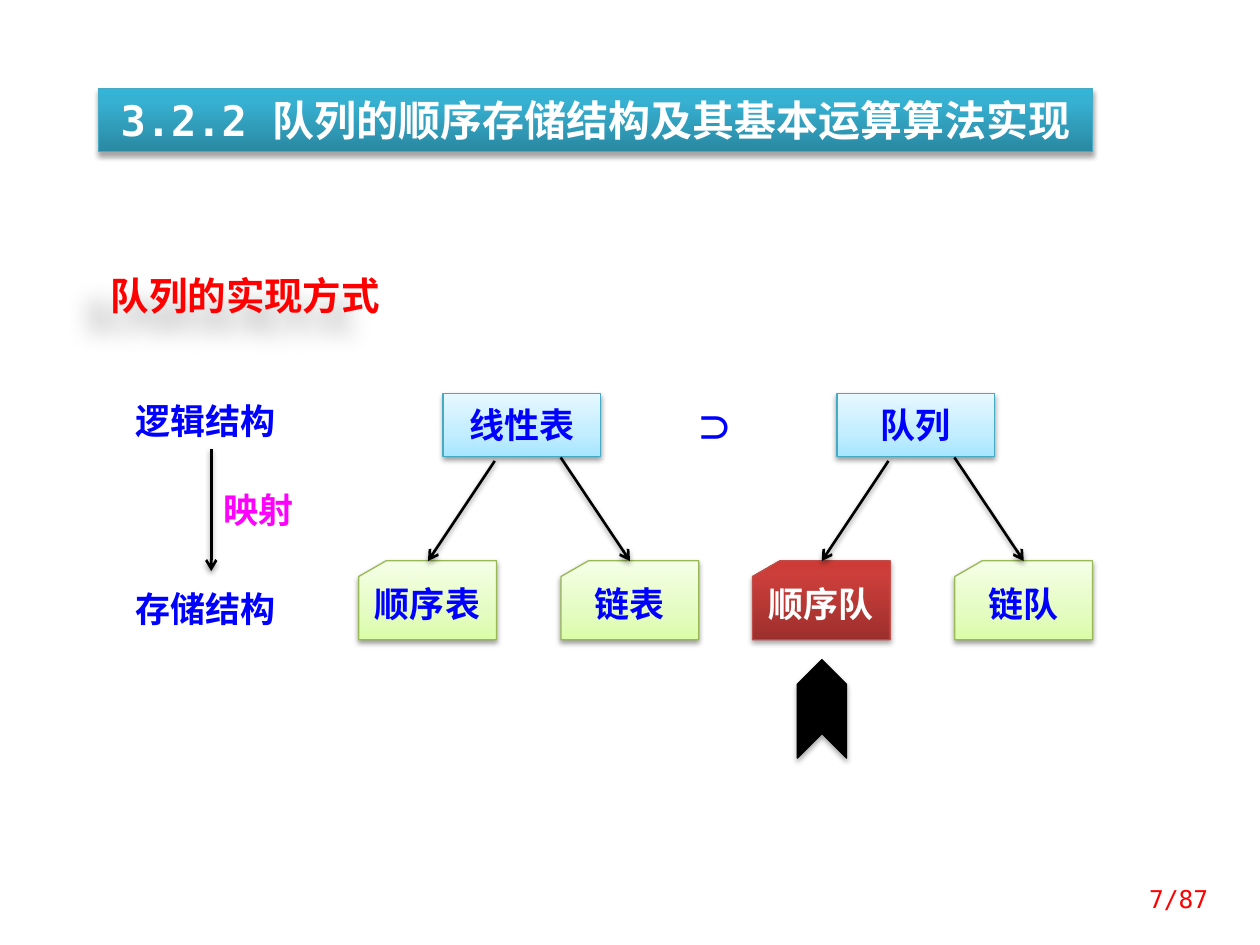
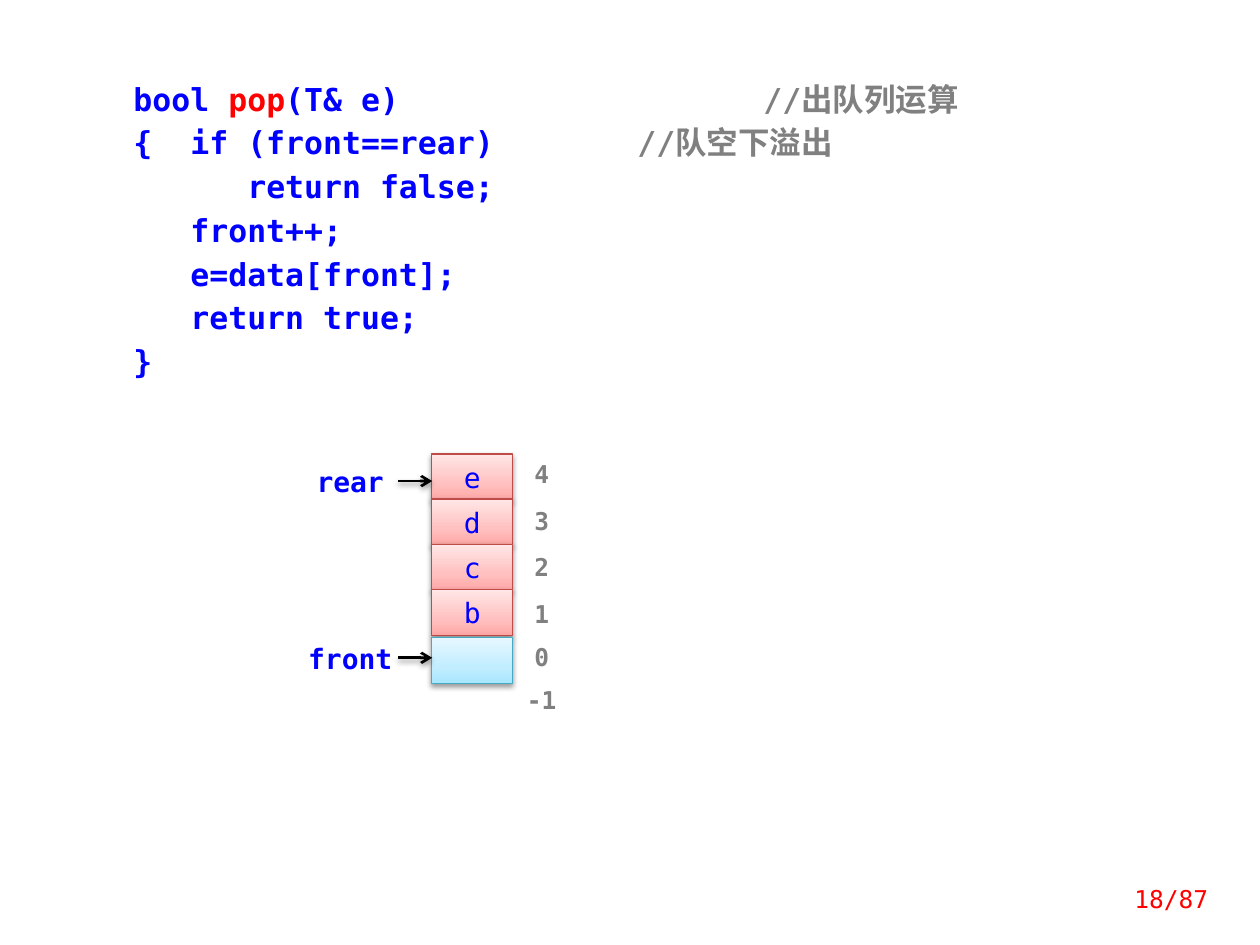
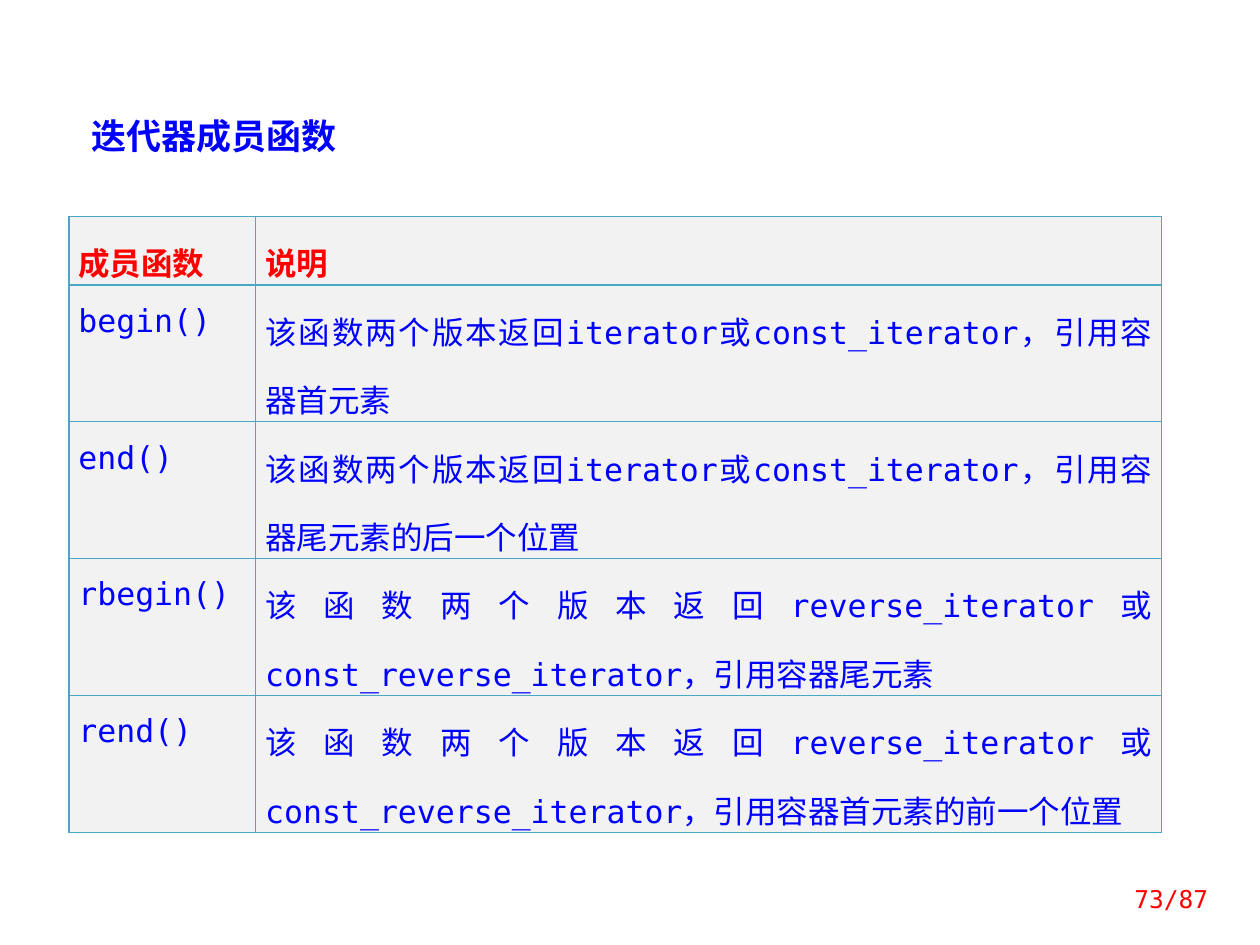
"""Build three lecture slides on queues: storage structures, the pop operation and iterator functions."""
from lxml.etree import SubElement
from pptx import Presentation
from pptx.dml.color import RGBColor
from pptx.enum.shapes import MSO_CONNECTOR, MSO_SHAPE
from pptx.enum.text import MSO_ANCHOR, MSO_AUTO_SIZE, PP_ALIGN
from pptx.oxml.ns import qn
from pptx.util import Pt

COLOURS = {
    "blue": "0000FF", "red": "FF0000", "magenta": "FF00FF", "grey": "808080",
    "white": "FFFFFF", "black": "000000", "cell": "F2F2F2", "teal": "46AAC5",
}
MONO, SANS = "DejaVu Sans Mono", "Noto Sans CJK SC"
SOFT, STRONG = (38, 3.1, 1.6, 90), (35, 3.1, 1.8, 90)
STYLES = {
    "sky": (((0, "A7E6FF"), (35, "C1EDFF"), (100, "E7F8FF")), "46AAC5", SOFT),
    "lime": (((0, "DAFDA7"), (35, "E4FCC2"), (100, "F5FFE7")), "98B955", SOFT),
    "rose": (((0, "FFA6A5"), (35, "FFC0BF"), (100, "FFE7E7")), "BF4C48", SOFT),
    "brick": (((0, "9C2F2D"), (80, "CB3E3A"), (100, "CE3B37")), "BF4C48", STRONG),
    "banner": (((0, "2A88A2"), (80, "37B1D2"), (100, "34B4D6")), "46AAC5", STRONG),
}
TOTAL_PAGES = 87

BANNER = "3.2.2 队列的顺序存储结构及其基本运算算法实现"
SECTION = "队列的实现方式"
LEVELS = [
    ("逻辑结构", (70.2, 224.6, 101.5, 31.7), "blue"),
    ("存储结构", (70.2, 331.9, 101.5, 31.7), "blue"),
    ("映射", (120.6, 275.4, 61.9, 31.7), "magenta"),
]
TREES = [
    (253.2, "线性表", [("顺序表", "lime", "blue"), ("链表", "lime", "blue")]),
    (478.2, "队列", [("顺序队", "brick", "white"), ("链队", "lime", "blue")]),
]
BRANCHES = [(-48.2, 29.5, 263.4, -8.6), (67.4, 67.2, 261.4, 106.8)]

CODE = [
    (0, [("bool ", "blue"), ("pop", "red"), ("(T& e)\t\t\t", "blue"), ("//出队列运算", "grey")]),
    (0, [("{  if (front==rear)\t\t", "blue"), ("//队空下溢出", "grey")]),
    (6, [("return false;", "blue")]),
    (3, [("front++;", "blue")]),
    (3, [("e=data[front];", "blue")]),
    (3, [("return true;", "blue")]),
    (0, [("}", "blue")]),
]
CODE_CHAR_WIDTH = 10.84
CODE_TAB = 72
QUEUE = [("e", "rose"), ("d", "rose"), ("c", "rose"), ("b", "rose"), ("", "sky")]
QUEUE_TOPS = (259.4, 285.1, 311, 336.8, 364.2)
INDEXES = [("4", 262.3), ("3", 289), ("2", 315.6), ("1", 342.3), ("0", 366.9), ("-1", 391.4)]
POINTERS = [("rear", 265.3, 274.9), ("front", 366.5, 375.9)]

ITERATOR_TITLE = "迭代器成员函数"
FUNCTIONS = [
    ("成员函数", "说明"),
    ("begin()", "该函数两个版本返回iterator或const_iterator，引用容器首元素"),
    ("end()", "该函数两个版本返回iterator或const_iterator，引用容器尾元素的后一个位置"),
    ("rbegin()", "该函数两个版本返回reverse_iterator或const_reverse_iterator，引用容器尾元素"),
    ("rend()", "该函数两个版本返回reverse_iterator或const_reverse_iterator，引用容器首元素的前一个位置"),
]
COLUMN_WIDTHS = (106.8, 517.7)
ROW_HEIGHTS = (32.4, 41, 64.8, 64.8, 64.8)


def rgb(name):
    return RGBColor.from_string(COLOURS.get(name, name))


def points(values):
    return [Pt(value) for value in values]


def fill_plain(part, colour):
    part.fill.solid()
    part.fill.fore_color.rgb = rgb(colour)


def add_shadow(part, alpha, blur, distance, direction):
    effects = SubElement(part._element.spPr, qn("a:effectLst"))
    shadow = SubElement(effects, qn("a:outerShdw"), blurRad=str(Pt(blur)), dist=str(Pt(distance)),
                        dir=str(direction * 60000), algn="ctr", rotWithShape="0")
    tint = SubElement(shadow, qn("a:srgbClr"), val=COLOURS["black"])
    SubElement(tint, qn("a:alpha"), val=str(alpha * 1000))


def paint(part, style):
    stops, outline, shadow = STYLES[style]
    part.fill.gradient()
    part.fill.gradient_angle = 90
    stop_list = part._element.spPr.find(".//" + qn("a:gsLst"))
    for stop in list(stop_list):
        stop_list.remove(stop)
    for position, colour in stops:
        stop = SubElement(stop_list, qn("a:gs"), pos=str(position * 1000))
        SubElement(stop, qn("a:srgbClr"), val=colour)
    part.line.color.rgb = rgb(outline)
    part.line.width = Pt(0.75)
    add_shadow(part, *shadow)


def format_paragraph(paragraph, size, colour, face=MONO, bold=True, align=PP_ALIGN.LEFT, spacing=None):
    paragraph.alignment = align
    if spacing:
        paragraph.line_spacing = spacing
    font = paragraph.font
    font.size, font.bold, font.name = Pt(size), bold, face
    font.color.rgb = rgb(colour)
    SubElement(font._rPr, qn("a:ea"), typeface=SANS)


def set_frame(part, insets=(7.2, 3.6, 7.2, 3.6), anchor=MSO_ANCHOR.MIDDLE):
    frame = part.text_frame
    frame.word_wrap = True
    frame.auto_size = MSO_AUTO_SIZE.NONE
    frame.vertical_anchor = anchor
    frame.margin_left, frame.margin_top, frame.margin_right, frame.margin_bottom = points(insets)
    return frame


def write(part, text, size, colour, insets=(7.2, 3.6, 7.2, 3.6), anchor=MSO_ANCHOR.MIDDLE, **looks):
    frame = set_frame(part, insets, anchor)
    frame.text = text
    format_paragraph(frame.paragraphs[0], size, colour, **looks)


def add_text(slide, box, text, size, colour, **looks):
    label = slide.shapes.add_textbox(*points(box))
    write(label, text, size, colour, **looks)
    return label


def add_block(slide, preset, box, style):
    block = slide.shapes.add_shape(preset, *points(box))
    paint(block, style)
    return block


def add_patch(slide, box):
    patch = slide.shapes.add_shape(MSO_SHAPE.RECTANGLE, *points(box))
    fill_plain(patch, "white")
    patch.line.fill.background()
    patch.shadow.inherit = False
    return patch


def add_arrow(slide, *ends):
    arrow = slide.shapes.add_connector(MSO_CONNECTOR.STRAIGHT, *points(ends))
    arrow.line.color.rgb = rgb("black")
    arrow.line.width = Pt(1.5)
    SubElement(arrow.line._get_or_add_ln(), qn("a:tailEnd"), type="arrow")
    add_shadow(arrow, *SOFT)


def set_title(slide, box, text, size, colour, **looks):
    title = slide.shapes.title
    title.left, title.top, title.width, title.height = points(box)
    write(title, text, size, colour, **looks)
    return title


def add_slide(deck, layout, page):
    slide = deck.slides.add_slide(deck.slide_layouts[layout])
    add_text(slide, (624.2, 499.4, 73.4, 28.8), f"{page}/{TOTAL_PAGES}", 14, "red",
             bold=False, align=PP_ALIGN.RIGHT)
    return slide


def build_structures(deck):
    slide = add_slide(deck, 5, 7)
    banner = set_title(slide, (56.2, 50.4, 568.1, 36.4), BANNER, 24, "white", align=PP_ALIGN.CENTER)
    paint(banner, "banner")
    section = add_text(slide, (56.2, 151.9, 182.9, 33.8), SECTION, 22, "red")
    section.fill.background()
    add_shadow(section, 25, 13, 19, 140)
    for text, box, colour in LEVELS:
        add_text(slide, box, text, 20, colour, face=SANS)
    add_arrow(slide, 120.7, 256.5, 120.7, 326.4)
    for left, root, leaves in TREES:
        root_box = add_block(slide, MSO_SHAPE.RECTANGLE, (left, 224.8, 90, 36), "sky")
        write(root_box, root, 20, "blue", insets=(7.2, 5.8, 7.2, 5.8), face=SANS, align=PP_ALIGN.CENTER)
        for (text, style, colour), (shift, start, top, end) in zip(leaves, BRANCHES):
            card = add_block(slide, MSO_SHAPE.FLOWCHART_CARD, (left + shift, 320.4, 78.7, 45.2), style)
            write(card, text, 20, colour, insets=(7.2, 3.6, 7.2, 8.6), face=SANS, align=PP_ALIGN.CENTER)
            add_arrow(slide, left + start, top, left + end, 320.6)
    superset = add_text(slide, (395, 225.8, 33.8, 37.4), "∩", 20, "blue", face=SANS, spacing=Pt(30))
    superset.rotation = 90
    marker = slide.shapes.add_shape(MSO_SHAPE.CHEVRON, *points((441.6, 391, 56.2, 28.1)))
    marker.rotation = 270
    fill_plain(marker, "black")
    marker.line.color.rgb = rgb("black")
    marker.line.width = Pt(0.75)
    add_shadow(marker, *STRONG)


def add_code(slide):
    frame = set_frame(add_patch(slide, (61.9, 33.6, 573.8, 192.2)), (14.4, 8.6, 7.2, 8.6))
    for number, (indent, pieces) in enumerate(CODE):
        paragraph = frame.add_paragraph() if number else frame.paragraphs[0]
        format_paragraph(paragraph, 18, "blue", spacing=Pt(25))
        properties = paragraph._p.get_or_add_pPr()
        properties.set("marL", str(Pt(indent * CODE_CHAR_WIDTH)))
        properties.set("indent", "0")
        properties.set("defTabSz", str(Pt(CODE_TAB)))
        for text, colour in pieces:
            run = paragraph.add_run()
            run.text = text
            run.font.color.rgb = rgb(colour)


def build_pop(deck):
    slide = add_slide(deck, 6, 18)
    add_code(slide)
    tight = {"insets": (0, 0, 0, 0), "anchor": MSO_ANCHOR.TOP, "align": PP_ALIGN.CENTER}
    for (element, style), top in zip(QUEUE, QUEUE_TOPS):
        slot = add_block(slide, MSO_SHAPE.RECTANGLE, (246.7, top, 46.3, 26.6), style)
        if element:
            write(slot, element, 16, "blue", bold=False, spacing=Pt(23), **tight)
    for index, top in INDEXES:
        write(add_patch(slide, (298.8, top, 21.6, 19.4)), index, 14, "grey", **tight)
    for name, top, arrow_y in POINTERS:
        write(add_patch(slide, (169.2, top, 61.9, 21.6)), name, 16, "blue", **tight)
        add_arrow(slide, 227.5, arrow_y, 247, arrow_y)


def add_borders(cell):
    properties = cell._tc.get_or_add_tcPr()
    for place, side in enumerate(("lnL", "lnR", "lnT", "lnB")):
        border = SubElement(properties, qn("a:" + side), w=str(Pt(0.75)))
        fill = SubElement(border, qn("a:solidFill"))
        SubElement(fill, qn("a:srgbClr"), val=COLOURS["teal"])
        properties.insert(place, border)


def build_iterators(deck):
    slide = add_slide(deck, 5, 73)
    set_title(slide, (45, 61.5, 360, 31.7), ITERATOR_TITLE, 20, "blue")
    box = (39.4, 123.8, sum(COLUMN_WIDTHS), sum(ROW_HEIGHTS))
    table = slide.shapes.add_table(len(FUNCTIONS), len(COLUMN_WIDTHS), *points(box)).table
    for column, width in zip(table.columns, COLUMN_WIDTHS):
        column.width = Pt(width)
    for number, (row, height, texts) in enumerate(zip(table.rows, ROW_HEIGHTS, FUNCTIONS)):
        row.height = Pt(height)
        for cell, text in zip(row.cells, texts):
            cell.text = text
            cell.margin_left = cell.margin_right = Pt(5.4)
            cell.margin_top = cell.margin_bottom = Pt(0)
            fill_plain(cell, "cell")
            add_borders(cell)
            format_paragraph(cell.text_frame.paragraphs[0], 18, "blue" if number else "red",
                             bold=number == 0, align=PP_ALIGN.JUSTIFY, spacing=1.5)


def main():
    deck = Presentation()
    deck.slide_width, deck.slide_height = Pt(720), Pt(540)
    build_structures(deck)
    build_pop(deck)
    build_iterators(deck)
    deck.save("out.pptx")


if __name__ == "__main__":
    main()
